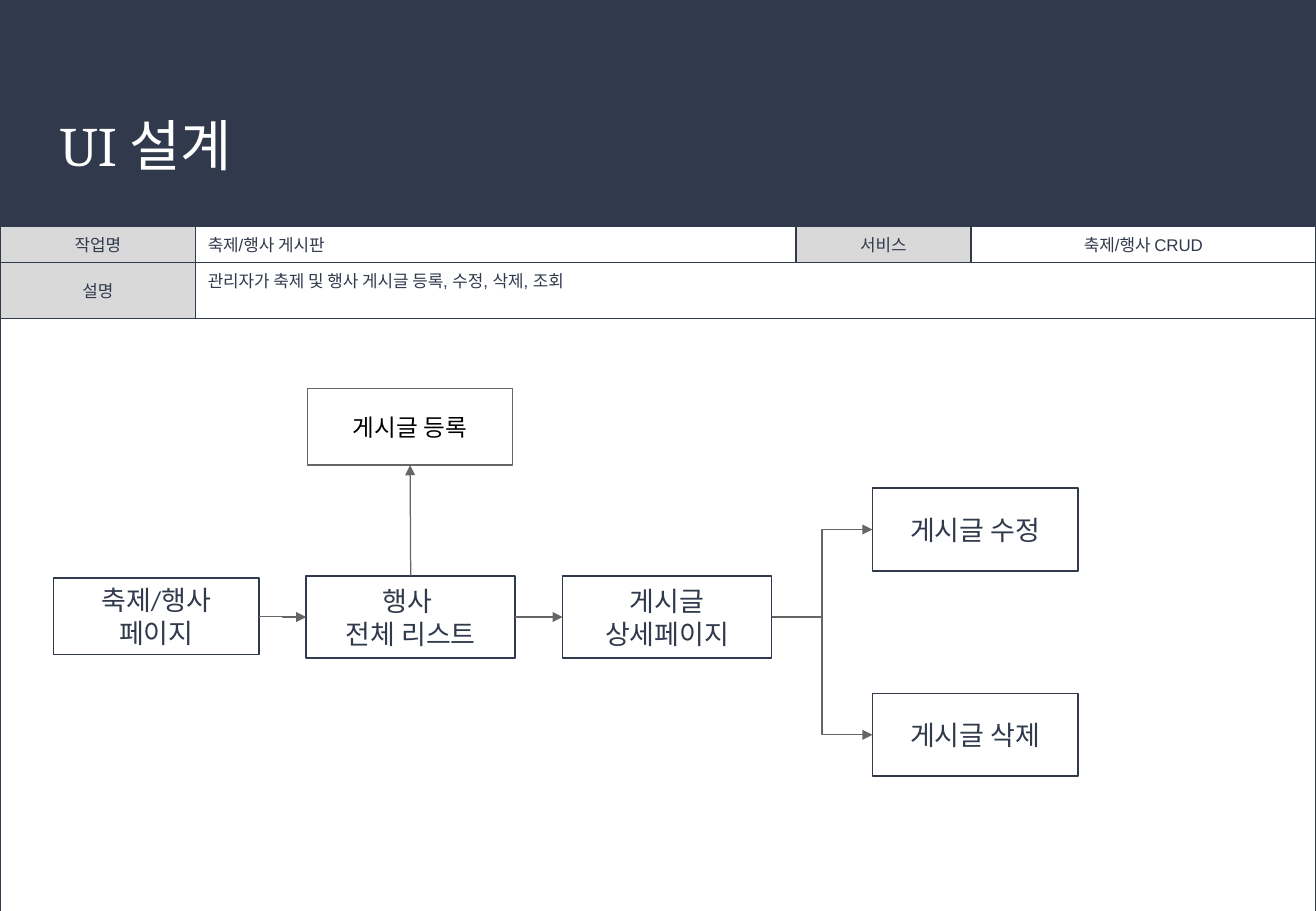
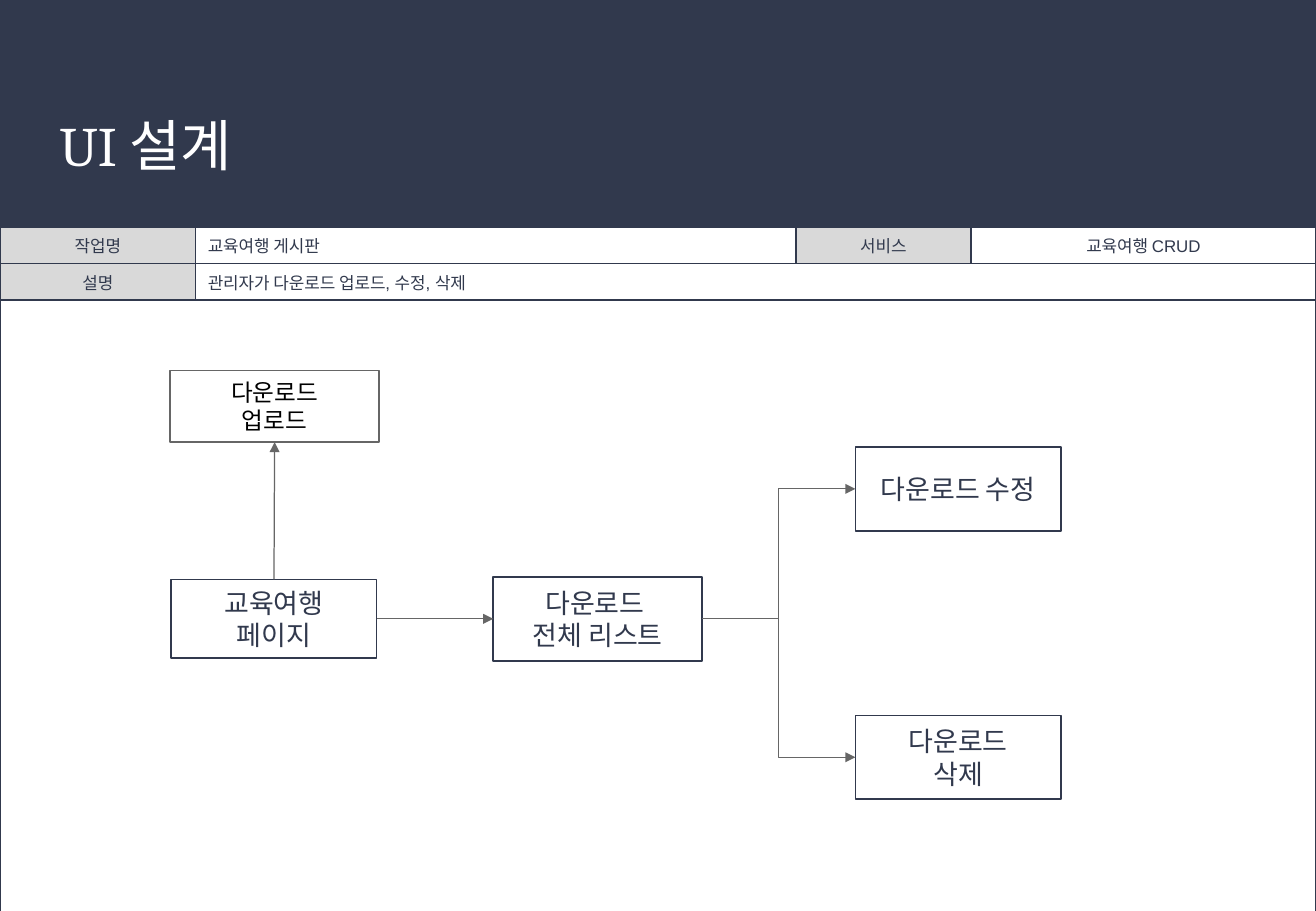
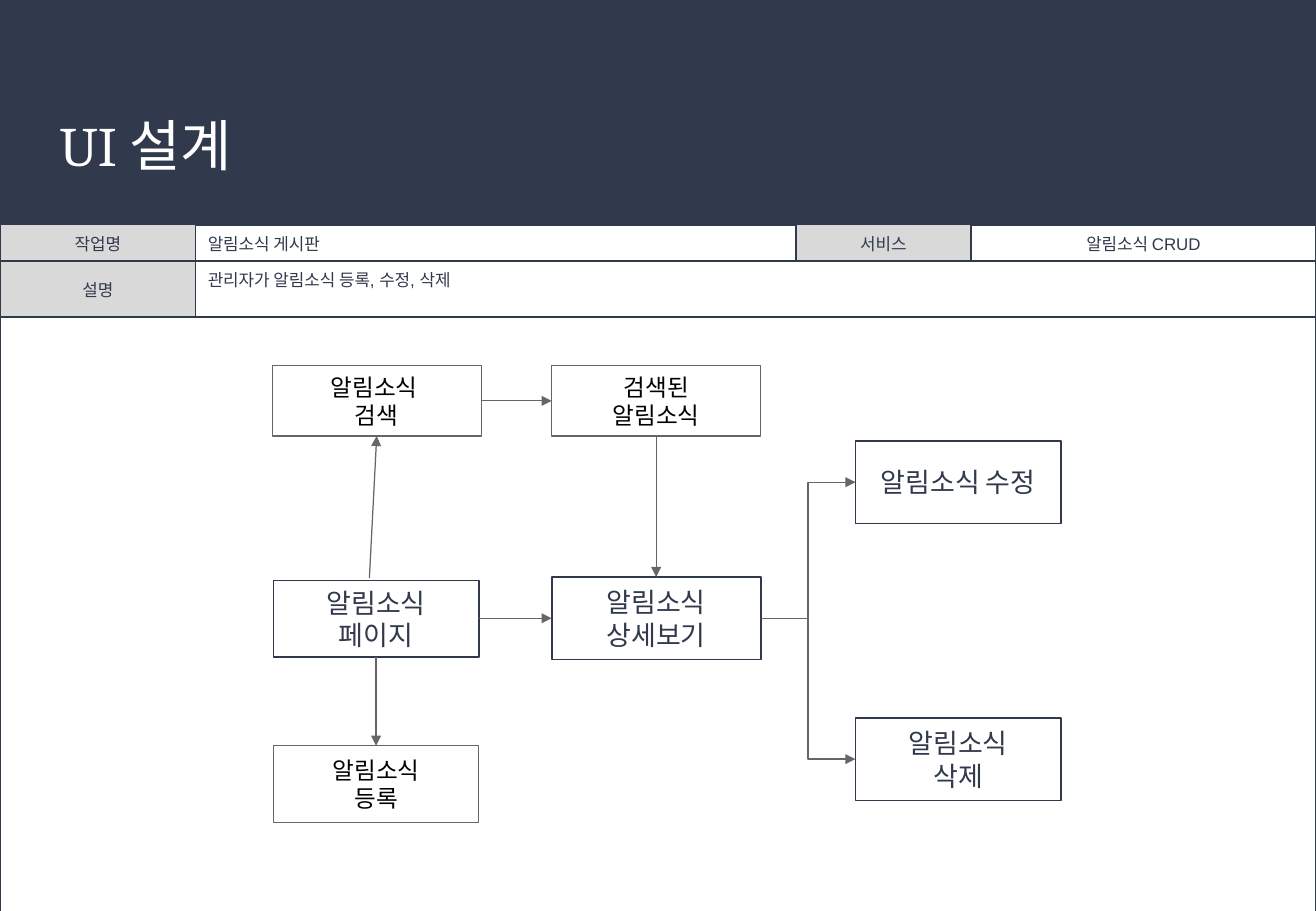
from lxml import etree
from pptx import Presentation
from pptx.dml.color import RGBColor
from pptx.enum.shapes import MSO_CONNECTOR, MSO_SHAPE
from pptx.enum.text import MSO_ANCHOR, MSO_AUTO_SIZE, PP_ALIGN
from pptx.oxml.ns import qn
from pptx.util import Inches, Pt

NAVY = RGBColor(0x31, 0x39, 0x4D)
GRAY = RGBColor(0x66, 0x66, 0x66)
PALE = RGBColor(0xD9, 0xD9, 0xD9)
WHITE = RGBColor(0xFF, 0xFF, 0xFF)
BLACK = RGBColor(0, 0, 0)
RECT = MSO_SHAPE.RECTANGLE
ELBOW, LINE = MSO_CONNECTOR.ELBOW, MSO_CONNECTOR.STRAIGHT
LEFT, MID = PP_ALIGN.LEFT, PP_ALIGN.CENTER
TOP, CENTER = MSO_ANCHOR.TOP, MSO_ANCHOR.MIDDLE
N, W, S, E = range(4)

WIDE, HIGH, BAND = 10.83, 7.5, 1.86
TITLE = "UI 설계"
COLS = (1.61, 4.94, 1.44, 2.84)
ROW, FOOT = 0.3, 7.58

MAIN = dict(fill=None, line=NAVY, width=1, size=16, face="Calibri",
            color=NAVY, pad=0.05)
SIDE = dict(fill=WHITE, line=GRAY, width=0.75, size=14, face="Arial",
            color=BLACK, pad=0.1)

SLIDES = [
    dict(
        job="축제/행사 게시판", work="축제/행사 CRUD",
        note="관리자가 축제 및 행사 게시글 등록, 수정, 삭제, 조회",
        top=1.86, deep=0.46,
        boxes={
            "page": ("축제/행사\n페이지", MAIN, 0.44, 4.76, 1.69, 0.63),
            "list": ("행사 \n전체 리스트", MAIN, 2.52, 4.74, 1.72, 0.68),
            "view": ("게시글 상세페이지", MAIN, 4.63, 4.74, 1.72, 0.68),
            "edit": ("게시글 수정", MAIN, 7.18, 4.02, 1.69, 0.68),
            "drop": ("게시글 삭제", MAIN, 7.18, 5.71, 1.69, 0.68),
            "add": ("게시글 등록", SIDE, 2.53, 3.2, 1.69, 0.63),
        },
        links=[
            (ELBOW, "page", E, "list", W),
            (ELBOW, "list", E, "view", W),
            (ELBOW, "view", E, "edit", W),
            (ELBOW, "view", E, "drop", W),
            (LINE, "list", N, "add", S),
        ],
    ),
    dict(
        job="교육여행 게시판", work="교육여행 CRUD",
        note="관리자가 다운로드 업로드, 수정, 삭제",
        top=1.87, deep=0.3,
        boxes={
            "page": ("교육여행\n페이지", MAIN, 1.41, 4.77, 1.69, 0.65),
            "list": ("다운로드 \n전체 리스트", MAIN, 4.06, 4.75, 1.72, 0.69),
            "edit": ("다운로드 수정", MAIN, 7.04, 3.68, 1.69, 0.69),
            "drop": ("다운로드\n삭제", MAIN, 7.04, 5.89, 1.69, 0.69),
            "add": ("다운로드\n업로드", SIDE, 1.4, 3.05, 1.72, 0.59),
        },
        links=[
            (ELBOW, "page", E, "list", W),
            (ELBOW, "list", E, "edit", W),
            (ELBOW, "list", E, "drop", W),
            (LINE, "page", N, "add", S),
        ],
    ),
    dict(
        job="알림소식 게시판", work="알림소식 CRUD",
        note="관리자가 알림소식 등록, 수정, 삭제",
        top=1.85, deep=0.46,
        boxes={
            "page": ("알림소식\n페이지", MAIN, 2.25, 4.78, 1.69, 0.63),
            "view": ("알림소식\n상세보기", MAIN, 4.54, 4.75, 1.72, 0.68),
            "edit": ("알림소식 수정", MAIN, 7.04, 3.63, 1.69, 0.68),
            "drop": ("알림소식\n삭제", MAIN, 7.04, 5.91, 1.69, 0.68),
            "find": ("알림소식 \n검색", SIDE, 2.24, 3.01, 1.72, 0.58),
            "found": ("검색된\n알림소식", SIDE, 4.54, 3.01, 1.72, 0.58),
            "add": ("알림소식\n등록", SIDE, 2.25, 6.14, 1.69, 0.63),
        },
        links=[
            (ELBOW, "page", E, "view", W),
            (ELBOW, "view", E, "edit", W),
            (ELBOW, "view", E, "drop", W),
            (LINE, (3.04, 4.76), None, "find", S),
            (LINE, "page", S, "add", N),
            (LINE, "find", E, "found", W),
            (LINE, "found", S, "view", N),
        ],
    ),
]


def style(frame, face, size, color, align):
    for para in frame.paragraphs:
        para.alignment = align
        para.font.name = face
        para.font.size = Pt(size)
        para.font.color.rgb = color


def paint(fill, color):
    if color is None:
        fill.background()
    else:
        fill.solid()
        fill.fore_color.rgb = color


def inset(frame, side, top):
    frame.margin_left = frame.margin_right = Inches(side)
    frame.margin_top = frame.margin_bottom = Inches(top)


def make_rect(slide, fill, x, y, w, h):
    rect = slide.shapes.add_shape(RECT, *map(Inches, (x, y, w, h)))
    rect.shadow.inherit = False
    paint(rect.fill, fill)
    return rect


def set_base(layout, slide):
    band = make_rect(slide, NAVY, 0, 0, WIDE, BAND)
    band.line.fill.background()
    layout.shapes._spTree.insert(2, band._element)
    head = layout.placeholders[0]
    head.left, head.top = Inches(0.37), Inches(0.73)
    head.width, head.height = Inches(10.09), Inches(0.91)


def add_title(slide):
    frame = slide.shapes.title.text_frame
    frame.text = TITLE
    frame.auto_size = MSO_AUTO_SIZE.NONE
    frame.vertical_anchor = CENTER
    inset(frame, 0.12, 0.12)
    style(frame, "Cambria", 33, WHITE, LEFT)


def add_edges(cell):
    prop = cell._tc.get_or_add_tcPr()
    for spot, tag in enumerate(("a:lnL", "a:lnR", "a:lnT", "a:lnB")):
        edge = etree.Element(qn(tag), w=str(Pt(1)))
        fill = etree.SubElement(edge, qn("a:solidFill"))
        etree.SubElement(fill, qn("a:srgbClr"), val=str(NAVY))
        prop.insert(spot, edge)


def add_grid(slide, data):
    top, deep = data["top"], data["deep"]
    rows = (ROW, deep, FOOT - top - ROW - deep)
    grid = slide.shapes.add_table(
        len(rows), len(COLS), 0, Inches(top),
        Inches(sum(COLS)), Inches(sum(rows))).table
    grid.first_row = grid.horz_banding = False
    for col, size in zip(grid.columns, COLS):
        col.width = Inches(size)
    for row, size in zip(grid.rows, rows):
        row.height = Inches(size)
    grid.cell(1, 1).merge(grid.cell(1, 3))
    grid.cell(2, 0).merge(grid.cell(2, 3))
    for cell in grid.iter_cells():
        cell.fill.background()
        add_edges(cell)
    for row, col, text, fill, align, anchor in (
            (0, 0, "작업명", PALE, MID, CENTER),
            (0, 1, data["job"], None, LEFT, CENTER),
            (0, 2, "서비스", PALE, MID, CENTER),
            (0, 3, data["work"], None, MID, CENTER),
            (1, 0, "설명", PALE, MID, CENTER),
            (1, 1, data["note"], None, LEFT, TOP)):
        cell = grid.cell(row, col)
        cell.text = text
        cell.vertical_anchor = anchor
        paint(cell.fill, fill)
        style(cell.text_frame, "Arial", 10, NAVY, align)


def add_box(slide, text, look, *place):
    box = make_rect(slide, look["fill"], *place)
    box.line.color.rgb = look["line"]
    box.line.width = Pt(look["width"])
    frame = box.text_frame
    frame.text = text
    frame.word_wrap = True
    frame.vertical_anchor = CENTER
    inset(frame, 0.1, look["pad"])
    style(frame, look["face"], look["size"], look["color"], MID)
    return box


def add_link(slide, boxes, kind, start, out, end, into):
    x, y = (0, 0) if start in boxes else start
    link = slide.shapes.add_connector(kind, Inches(x), Inches(y), 0, 0)
    if start in boxes:
        link.begin_connect(boxes[start], out)
    link.end_connect(boxes[end], into)
    link.line.color.rgb = GRAY
    link.line.width = Pt(0.75)
    etree.SubElement(link.line._get_or_add_ln(), qn("a:tailEnd"),
                     type="triangle")
    etree.SubElement(link._element.spPr, qn("a:effectLst"))


def main():
    deck = Presentation()
    deck.slide_width, deck.slide_height = Inches(WIDE), Inches(HIGH)
    layout = deck.slide_layouts[5]
    for spot, data in enumerate(SLIDES):
        slide = deck.slides.add_slide(layout)
        if spot == 0:
            set_base(layout, slide)
        add_title(slide)
        add_grid(slide, data)
        boxes = {key: add_box(slide, *box)
                 for key, box in data["boxes"].items()}
        for link in data["links"]:
            add_link(slide, boxes, *link)
    deck.save("out.pptx")


if __name__ == "__main__":
    main()
